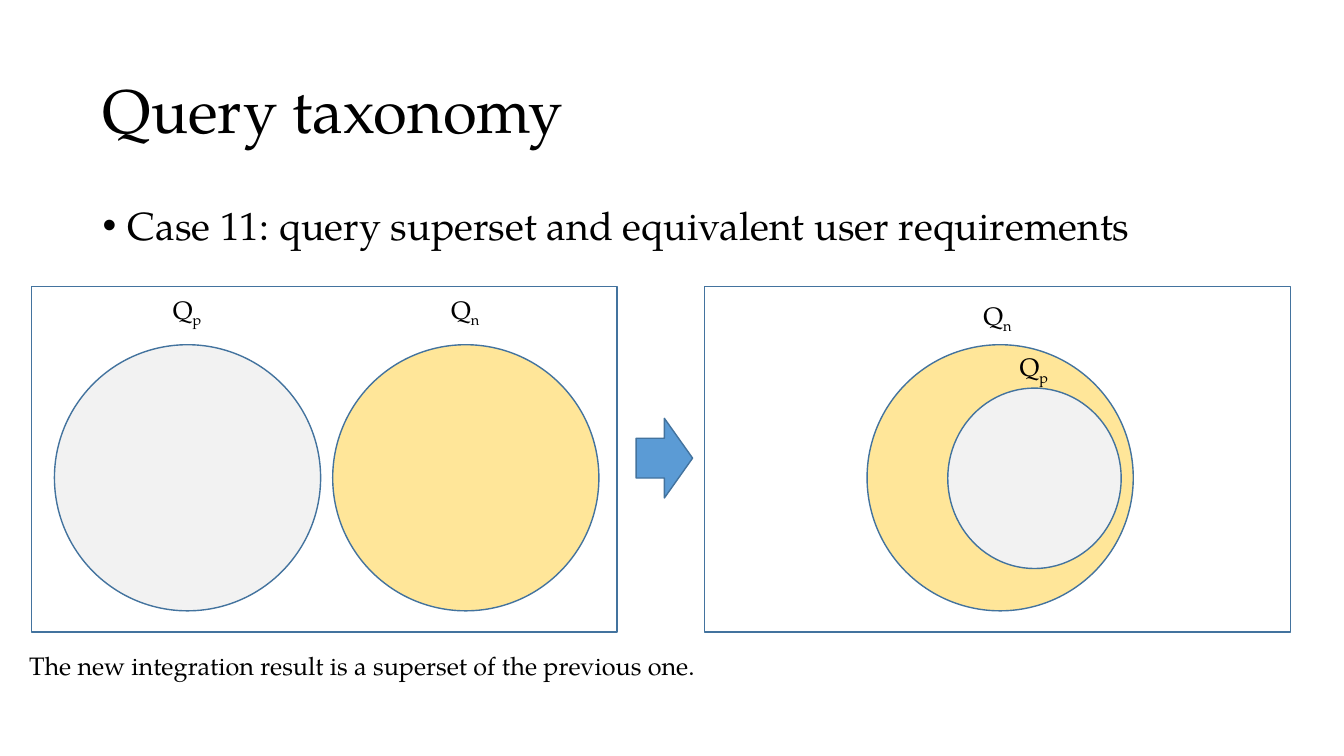
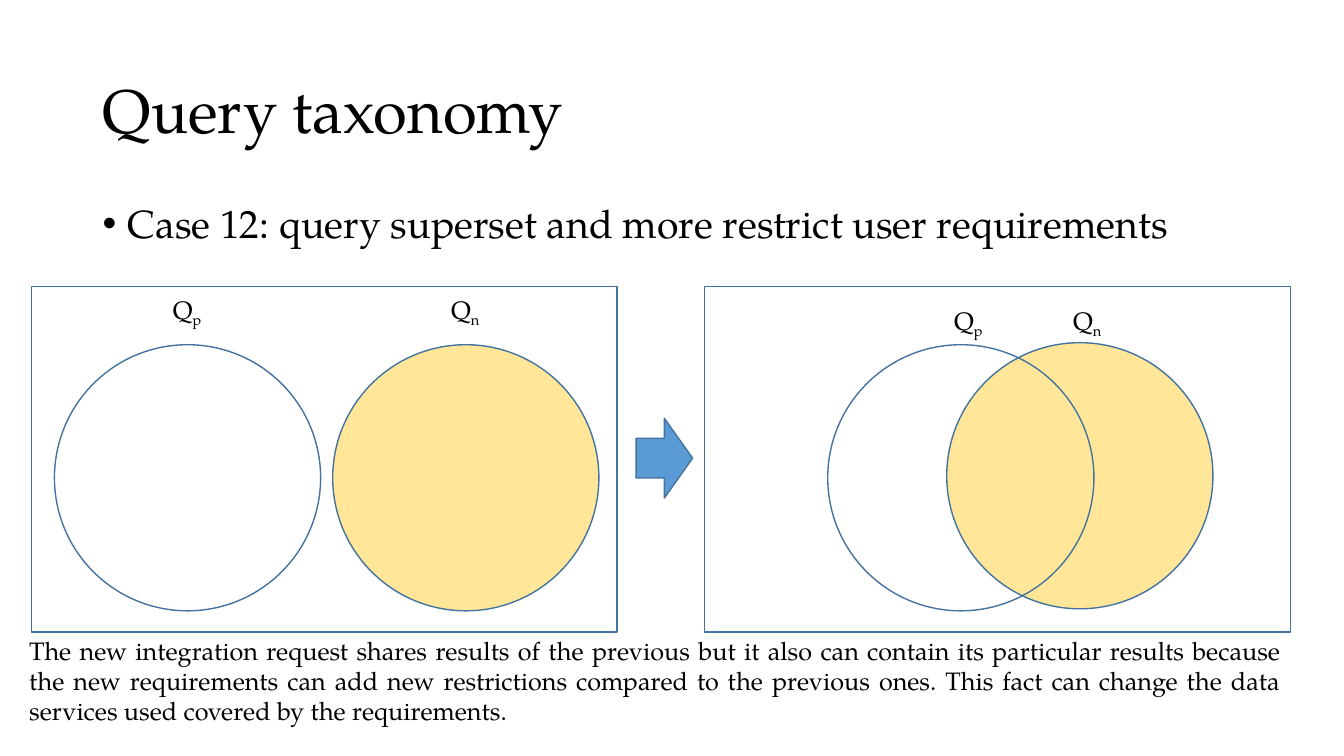
"""Build two slides that compare query cases with set diagrams."""
from lxml.etree import SubElement
from pptx import Presentation
from pptx.dml.color import RGBColor
from pptx.enum.shapes import MSO_SHAPE
from pptx.enum.text import MSO_ANCHOR, MSO_AUTO_SIZE, PP_ALIGN
from pptx.oxml.ns import qn
from pptx.util import Inches, Pt

FONT = "TeX Gyre Pagella"
INK, LINE, ARROW = "000000", "43739E", "5B9BD5"
GRAY, YELLOW = "F2F2F2", "FFE699"

TITLE = "Query taxonomy"
TITLE_BOX = (0.92, 0.4, 11.5, 1.45)
PANEL_LEFTS = (0.31, 6.99)
PANEL_TOP, PANEL_WIDTH, PANEL_HEIGHT = 2.84, 5.81, 3.43
ARROW_BOX = (6.31, 4.15, 0.56, 0.79)
LABEL_WIDTH, LABEL_HEIGHT = 0.49, 0.4
DISC = (2.64, 2.64)
SMALL_DISC = (1.72, 1.79)

# Each set: subscript, offset in panel, size, fill, label shift and lift.
CASES = [
    {
        "bullet": "Case 11: query superset and equivalent user requirements",
        "bullet_top": 2,
        "caption": "The new integration result is a superset of the previous one.",
        "caption_box": (0.19, 6.4, 12.61, 0.4),
        "panels": (
            [("p", (0.23, 0.58), DISC, GRAY, 0, 0.55),
             ("n", (2.99, 0.58), DISC, YELLOW, 0, 0.55)],
            [("n", (1.61, 0.58), DISC, YELLOW, -0.02, 0.49),
             ("p", (2.41, 1.01), SMALL_DISC, GRAY, 0, 0.41)],
        ),
    },
    {
        "bullet": "Case 12: query superset and more restrict user requirements",
        "bullet_top": 1.98,
        "caption": "The new integration request shares results of the previous but it "
                   "also can contain its particular results because the new "
                   "requirements can add new restrictions compared to the previous "
                   "ones. This fact can change the data services used covered by the "
                   "requirements.",
        "caption_box": (0.19, 6.25, 12.61, 1.01),
        "panels": (
            [("p", (0.23, 0.58), DISC, None, 0, 0.55),
             ("n", (2.99, 0.58), DISC, YELLOW, 0, 0.55)],
            [("n", (2.4, 0.56), DISC, YELLOW, 0.08, 0.42),
             ("p", (1.22, 0.58), DISC, None, 0.08, 0.44)],
        ),
    },
]


def color(value):
    return RGBColor.from_string(value)


def add_span(para, text, size):
    span = para.add_run()
    span.text = text
    span.font.name = FONT
    span.font.size = Pt(size)
    span.font.color.rgb = color(INK)
    return span


def add_text(page, box, text, size, wrap=True):
    frame = page.shapes.add_textbox(*map(Inches, box)).text_frame
    frame.word_wrap = wrap
    para = frame.paragraphs[0]
    add_span(para, text, size)
    return para


def add_figure(page, kind, box, fill=None):
    figure = page.shapes.add_shape(kind, *map(Inches, box))
    figure.shadow.inherit = False
    figure.line.color.rgb = color(LINE)
    figure.line.width = Pt(1)
    if fill:
        figure.fill.solid()
        figure.fill.fore_color.rgb = color(fill)
    else:
        figure.fill.background()


def add_title(page):
    title = page.shapes.title
    title.left, title.top, title.width, title.height = map(Inches, TITLE_BOX)
    frame = title.text_frame
    frame.auto_size = MSO_AUTO_SIZE.NONE
    frame.vertical_anchor = MSO_ANCHOR.MIDDLE
    para = frame.paragraphs[0]
    para.alignment = PP_ALIGN.LEFT
    para.line_spacing = 0.9
    add_span(para, TITLE, 44)


def add_bullet(page, text, top):
    left, _, width, _ = TITLE_BOX
    para = add_text(page, (left, top, width, 0.6), text, 28)
    para.line_spacing = 0.9
    para.space_before = Pt(10)
    properties = para._p.get_or_add_pPr()
    properties.set("marL", str(Inches(0.25)))
    properties.set("indent", str(-Inches(0.25)))
    SubElement(properties, qn("a:buFont")).set("typeface", "Arial")
    SubElement(properties, qn("a:buChar")).set("char", "•")


def add_label(page, subscript, left, top):
    box = (left, top, LABEL_WIDTH, LABEL_HEIGHT)
    para = add_text(page, box, "Q", 18, wrap=False)
    span = add_span(para, subscript, 18)
    span._r.get_or_add_rPr().set("baseline", "-25000")


def add_panel(page, panel_left, sets):
    labels = []
    for subscript, (across, down), (width, height), fill, shift, lift in sets:
        left, top = panel_left + across, PANEL_TOP + down
        add_figure(page, MSO_SHAPE.OVAL, (left, top, width, height), fill)
        label_left = left + (width - LABEL_WIDTH) / 2 + shift
        labels.append((subscript, label_left, top - lift))
    add_figure(page, MSO_SHAPE.RECTANGLE,
               (panel_left, PANEL_TOP, PANEL_WIDTH, PANEL_HEIGHT))
    for label in labels:
        add_label(page, *label)


deck = Presentation()
deck.slide_width, deck.slide_height = Inches(13.33), Inches(7.5)
for case in CASES:
    page = deck.slides.add_slide(deck.slide_layouts[5])
    add_title(page)
    add_bullet(page, case["bullet"], case["bullet_top"])
    for panel_left, sets in zip(PANEL_LEFTS, case["panels"]):
        add_panel(page, panel_left, sets)
    add_figure(page, MSO_SHAPE.RIGHT_ARROW, ARROW_BOX, ARROW)
    caption = add_text(page, case["caption_box"], case["caption"], 18)
    caption.alignment = PP_ALIGN.JUSTIFY
deck.save("out.pptx")
